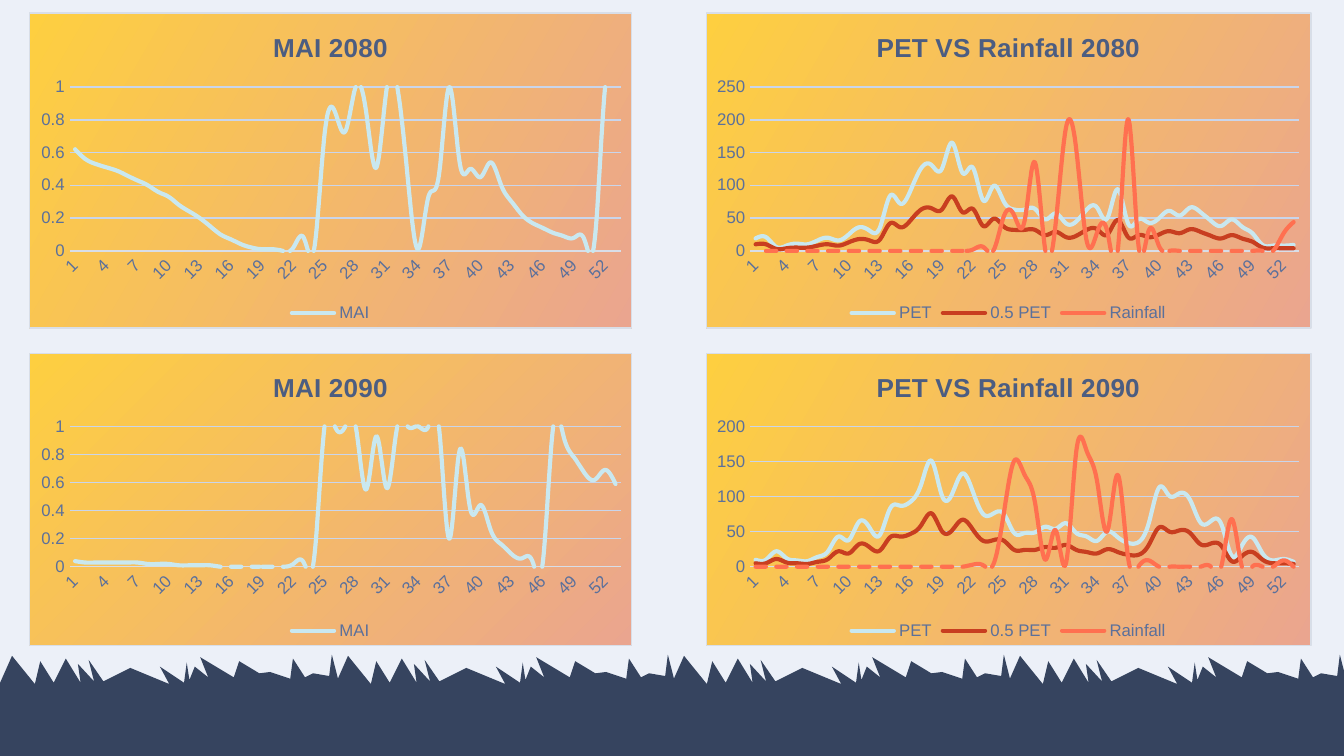
from lxml import etree
from pptx import Presentation
from pptx import util as u
from pptx.chart.data import CategoryChartData
from pptx.dml.color import RGBColor
from pptx.enum import chart as ch, shapes
from pptx.oxml import parse_xml
from pptx.oxml.ns import nsdecls, qn

COLUMNS, ROWS = 100, 56.25
CELL = u.Inches(0.1)
NAVY, MIST = "36445F", "ECF0F8"
LABEL, TITLE, AXIS, GRID = "5B709B", "4C5D81", "D8DEE8", "C9D5EB"
COLORS = ["C9E8F0", "C83E20", "FF7050"]

TREES = [
    (25.2, 50.7), (24.7, 48.7), (24.5, 50.3), (23.3, 50.1), (22.7, 50.4), (21.8, 49),
    (21.6, 50.5), (20.1, 50), (19.3, 50.1), (17.8, 49.2), (17.4, 50.4), (14.9, 48.9),
    (15.5, 50.4), (14.5, 49.6), (14.1, 50.6), (13.9, 49.3), (13.7, 50.8), (11.9, 49.6),
    (12.6, 50.9), (9.7, 49.7), (7.7, 50.7), (6.6, 49.1), (7, 50.7), (5.8, 49.4),
    (6, 50.8), (4.9, 49), (4, 50.8), (3, 49.2), (2.6, 50.9), (0.9, 48.8),
    (-0.3, 51.5), (25.3, 51.5),
]

MAI_2080 = [
    0.62, 0.56, 0.53, 0.51, 0.49, 0.46, 0.43, 0.4, 0.36, 0.33, 0.28, 0.24, 0.2, 0.15,
    0.1, 0.07, 0.04, 0.02, 0.01, 0.01, 0, 0.02, 0.08, 0.01, 0.71, 0.85, 0.73, 1, 0.85,
    0.51, 1, 1, 0.45, 0.01, 0.33, 0.46, 1, 0.54, 0.5, 0.45, 0.54, 0.4, 0.3, 0.22, 0.17,
    0.14, 0.11, 0.09, 0.08, 0.07, 0.07, 1, 1]
MAI_2090 = [
    0.04, 0.03, 0.03, 0.03, 0.03, 0.03, 0.03, 0.02, 0.02, 0.02, 0.01, 0.01, 0.01, 0.01,
    0, 0, 0, 0, 0, 0, 0, 0.02, 0.03, 0.06, 1, 1, 1, 1, 0.55, 0.93, 0.56, 1, 1, 1, 1, 1,
    0.2, 0.83, 0.42, 0.44, 0.26, 0.16, 0.09, 0.06, 0.04, 0.03, 1, 0.93, 0.78, 0.67,
    0.62, 0.69, 0.59]
PET_2080 = [
    19, 21, 6, 8, 11, 10, 16, 20, 16, 25, 36, 31, 35, 84, 72, 93, 126, 131, 125, 165,
    119, 127, 77, 99, 75, 63, 63, 64, 48, 57, 42, 45, 63, 66, 50, 94, 42, 48, 43, 50,
    61, 54, 66, 59, 46, 38, 48, 37, 27, 9, 8, 8, 9]
HALF_2080 = [
    10, 10, 3, 4, 5, 5, 8, 10, 8, 13, 18, 16, 17, 42, 36, 47, 63, 65, 63, 83, 59, 64,
    38, 49, 37, 32, 32, 32, 24, 29, 21, 23, 32, 33, 25, 47, 21, 24, 21, 25, 30, 27, 33,
    29, 23, 19, 24, 19, 14, 5, 4, 4, 4]
RAIN_2080 = [0] * 21 + [
    2, 6, 1, 53, 54, 46, 135, 1, 41, 188, 154, 15, 28, 29, 0, 201, 9, 31, 7
] + [0] * 11 + [26, 44]
PET_2090 = [
    10, 10, 22, 12, 9, 8, 14, 22, 43, 38, 64, 56, 45, 83, 87, 93, 117, 151, 102, 104,
    133, 107, 75, 76, 75, 48, 48, 49, 57, 54, 62, 48, 43, 37, 50, 42, 34, 35, 62, 113,
    101, 105, 95, 63, 65, 61, 16, 30, 42, 19, 9, 11, 7]
HALF_2090 = [
    5, 5, 11, 6, 5, 4, 7, 11, 22, 19, 32, 28, 23, 42, 43, 47, 59, 76, 51, 52, 67, 53,
    37, 38, 37, 24, 24, 24, 28, 27, 31, 24, 21, 19, 25, 21, 17, 17, 31, 56, 50, 52, 48,
    32, 33, 30, 8, 15, 21, 10, 5, 5, 4]
RAIN_2090 = [0] * 21 + [
    3, 2, 4, 77, 151, 131, 92, 10, 52, 5, 165, 165, 122, 51, 131, 13, 0, 9
] + [0] * 7 + [68, 0, 0, 0, 0, 9, 0]


def rgb(value):
    return RGBColor.from_string(value)


class Deck:
    def __init__(self, prs):
        self.s = prs.slides.add_slide(prs.slide_layouts[6])
        fill = self.s.background.fill
        fill.solid()
        fill.fore_color.rgb = rgb(MIST)

    def paint(self, sp):
        sp.shadow.inherit = False
        sp.fill.solid()
        sp.fill.fore_color.rgb = rgb(NAVY)
        sp.line.fill.background()

    def band(self, *box):
        self.paint(self.s.shapes.add_shape(
            shapes.MSO_SHAPE.RECTANGLE, *[u.Emu(int(v * CELL)) for v in box]))

    def outline(self, points):
        first, *rest = [(x * CELL, y * CELL) for x, y in points]
        builder = self.s.shapes.build_freeform(*first)
        builder.add_line_segments(rest)
        self.paint(builder.convert_to_shape())

    def font(self, font, size, color, bold=False):
        font.name, font.size, font.bold = "Arial", u.Pt(size), bold
        font.color.rgb = rgb(color)

    def stroke(self, line, color, width=0.75):
        line.color.rgb = rgb(color)
        line.width = u.Pt(width)

    def line_chart(self, box, title, series, top, step, angle, plot):
        data = CategoryChartData()
        data.categories = [str(week) for week in range(1, 54)]
        for name, values in series.items():
            data.add_series(name, values)
        chart = self.s.shapes.add_chart(
            ch.XL_CHART_TYPE.LINE, *[u.Emu(int(v * CELL)) for v in box], data).chart
        self.font(chart.font, 10, "262F41")
        chart.has_title = True
        tf = chart.chart_title.text_frame
        tf.text = title
        self.font(tf.paragraphs[0].runs[0].font, 14, TITLE, True)
        chart.chart_title.include_in_layout = False
        chart.has_legend = True
        chart.legend.position = ch.XL_LEGEND_POSITION.BOTTOM
        chart.legend.include_in_layout = False
        self.font(chart.legend.font, 9, LABEL)
        weeks, values = chart.category_axis, chart.value_axis
        for axis in (weeks, values):
            axis.major_tick_mark = axis.minor_tick_mark = ch.XL_TICK_MARK.NONE
            self.font(axis.tick_labels.font, 9, LABEL)
        self.stroke(weeks.format.line, AXIS)
        values.format.line.fill.background()
        self.stroke(values.major_gridlines.format.line, GRID)
        values.minimum_scale, values.maximum_scale, values.major_unit = 0, top, step
        values.tick_labels.number_format = "General"
        values.tick_labels.number_format_is_linked = False
        for ser, color in zip(chart.plots[0].series, COLORS):
            ser.smooth = True
            self.stroke(ser.format.line, color, 2.25)
        self.chart_xml(chart, angle, plot)

    def chart_xml(self, chart, angle, plot):
        space = chart._chartSpace
        for ln in space.xpath(".//c:ser/c:spPr/a:ln"):
            ln.set("cap", "rnd")
        space.xpath(".//c:catAx/c:txPr/a:bodyPr")[0].set("rot", "-2700000")
        area = space.xpath(".//c:plotArea")[0]
        for old in area.findall(qn("c:layout")):
            area.remove(old)
        layout = etree.Element(qn("c:layout"))
        manual = etree.SubElement(layout, qn("c:manualLayout"))
        modes = [("layoutTarget", "inner"), ("xMode", "edge"), ("yMode", "edge")]
        for tag, value in modes + list(zip("xywh", plot)):
            etree.SubElement(manual, qn("c:" + tag)).set("val", str(value))
        area.insert(0, layout)
        space.xpath("c:chart")[0].addnext(parse_xml(
            f'<c:spPr {nsdecls("c", "a")}><a:gradFill><a:gsLst>'
            '<a:gs pos="0"><a:srgbClr val="FECF40"/></a:gs>'
            '<a:gs pos="100000"><a:srgbClr val="EAA58F"/></a:gs></a:gsLst>'
            f'<a:lin ang="{angle * 60000}" scaled="0"/></a:gradFill>'
            f'<a:ln w="9525"><a:solidFill><a:srgbClr val="{AXIS}"/></a:solidFill>'
            '</a:ln></c:spPr>'))


def main():
    prs = Presentation()
    prs.slide_width, prs.slide_height = int(COLUMNS * CELL), int(ROWS * CELL)
    deck = Deck(prs)
    deck.band(0, 51.2, COLUMNS, ROWS - 51.2)
    for tile in reversed(range(4)):
        deck.outline([(x + tile * COLUMNS / 4, y) for x, y in TREES])
    names = ["PET", "0.5 PET", "Rainfall"]
    years = [
        (2080, 0.92, 23.55, 30, (0.235, 0.52), MAI_2080,
         (PET_2080, HALF_2080, RAIN_2080), 250),
        (2090, 26.25, 21.85, 45, (0.25, 0.48), MAI_2090,
         (PET_2090, HALF_2090, RAIN_2090), 200),
    ]
    for year, y, h, angle, (plot_y, plot_h), mai, water, top in years:
        deck.line_chart((2.15, y, 44.9, h), f"MAI {year}", {"MAI": mai}, 1, 0.2, angle,
                        (0.067, plot_y, 0.915, plot_h))
        deck.line_chart((52.5, y, 45.1, h), f"PET VS Rainfall {year}",
                        dict(zip(names, water)), top, 50, 30,
                        (0.073, plot_y, 0.907, plot_h))
    prs.save("out.pptx")


if __name__ == "__main__":
    main()
